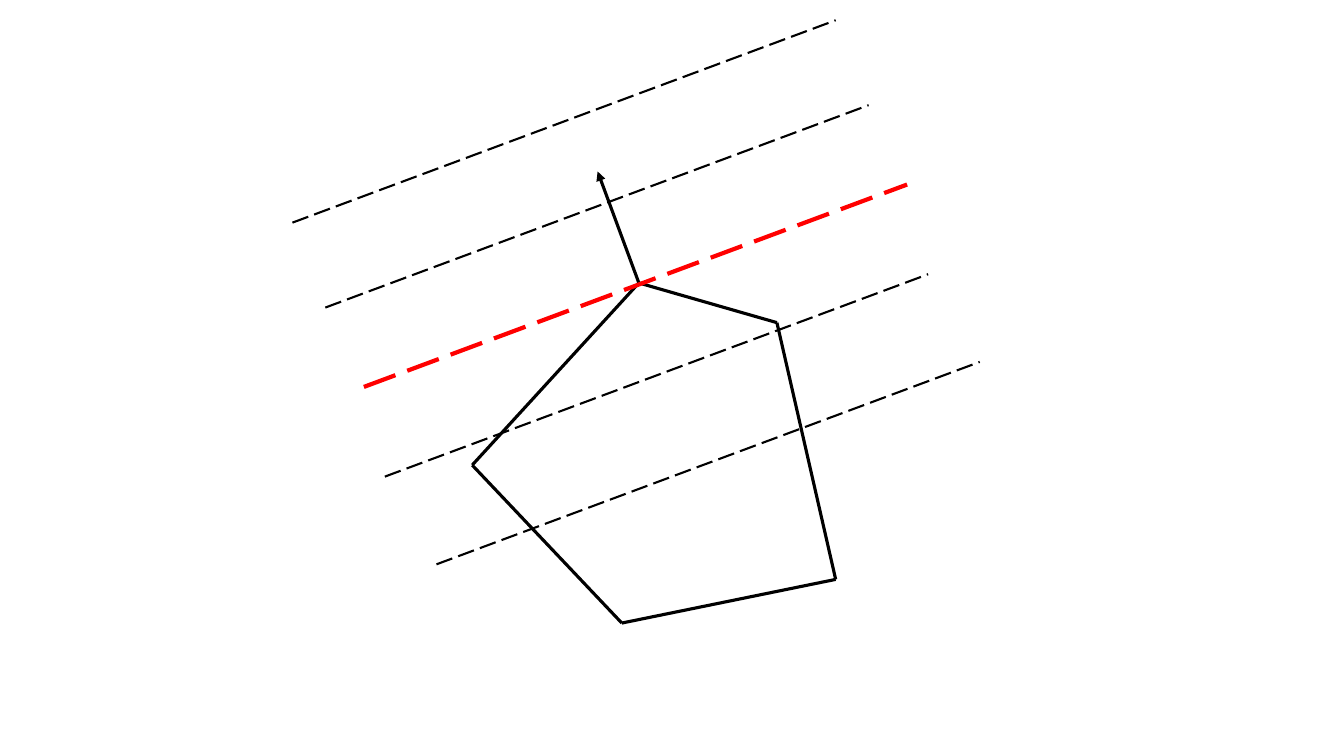
from dataclasses import dataclass
from itertools import pairwise

from lxml.etree import SubElement
from pptx import Presentation
from pptx.dml.color import RGBColor
from pptx.enum.dml import MSO_LINE_DASH_STYLE as Dash
from pptx.enum.shapes import MSO_CONNECTOR as Connector
from pptx.oxml.ns import qn
from pptx.util import Cm, Pt


@dataclass(frozen=True)
class Theme:
    ink: RGBColor = RGBColor(0, 0, 0)
    accent: RGBColor = RGBColor(255, 0, 0)
    edge_width: float = 2.25
    level_width: float = 1.5
    accent_width: float = 3


class Diagram:
    """Draws elements on one slide in one style."""

    def __init__(self, slide, theme):
        self.slide = slide
        self.theme = theme

    def line(self, start, end, color, width, dash=None):
        lengths = [Cm(value) for value in (*start, *end)]
        connector = self.slide.shapes.add_connector(Connector.STRAIGHT, *lengths)
        connector.line.color.rgb = color
        connector.line.width = Pt(width)
        if dash:
            connector.line.dash_style = dash
        SubElement(connector._element.spPr, qn("a:effectLst"))
        return connector

    def polygon(self, corners):
        for start, end in pairwise([*corners, corners[0]]):
            self.line(start, end, self.theme.ink, self.theme.edge_width)

    def arrow(self, start, end):
        connector = self.line(start, end, self.theme.ink, self.theme.edge_width)
        outline = connector.line._get_or_add_ln()
        SubElement(outline, qn("a:tailEnd"), type="triangle")

    def level_line(self, start, span, accent=False):
        theme = self.theme
        color = theme.accent if accent else theme.ink
        width = theme.accent_width if accent else theme.level_width
        end = (start[0] + span[0], start[1] + span[1])
        self.line(start, end, color, width, Dash.LONG_DASH)


def main():
    presentation = Presentation()
    presentation.slide_width = Cm(33.87)
    presentation.slide_height = Cm(19.05)
    blank_layout = presentation.slide_layouts[6]
    diagram = Diagram(presentation.slides.add_slide(blank_layout), Theme())

    # Feasible region
    optimum = (16.1, 7.13)
    diagram.polygon([optimum, (11.9, 11.72), (15.67, 15.7), (21.06, 14.6), (19.58, 8.13)])

    # Direction of improvement
    diagram.arrow(optimum, (15.06, 4.32))

    # Parallel level lines, the supporting one in the accent colour
    span = (13.69, -5.1)
    diagram.level_line((9.17, 9.75), span, accent=True)
    for start in [(9.7, 12.01), (11, 14.22), (8.2, 7.75), (7.37, 5.61)]:
        diagram.level_line(start, span)

    presentation.save("out.pptx")


if __name__ == "__main__":
    main()
